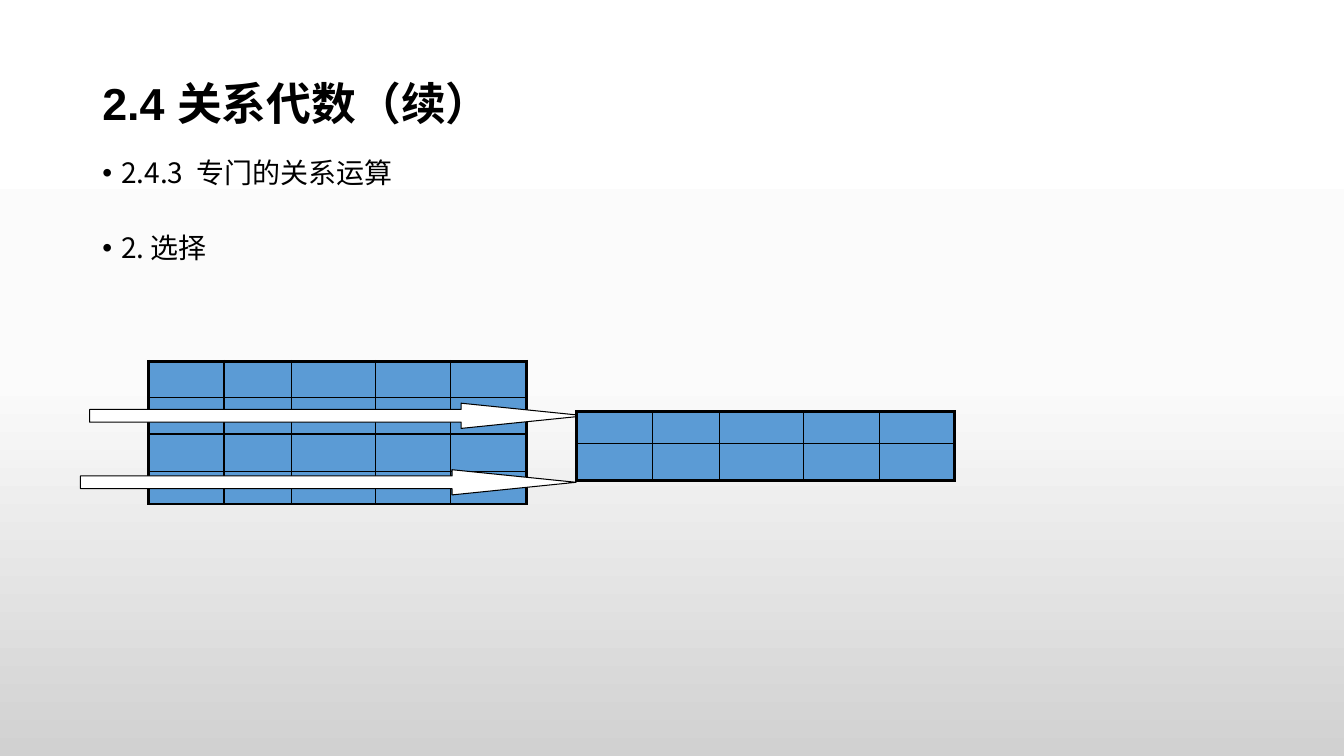
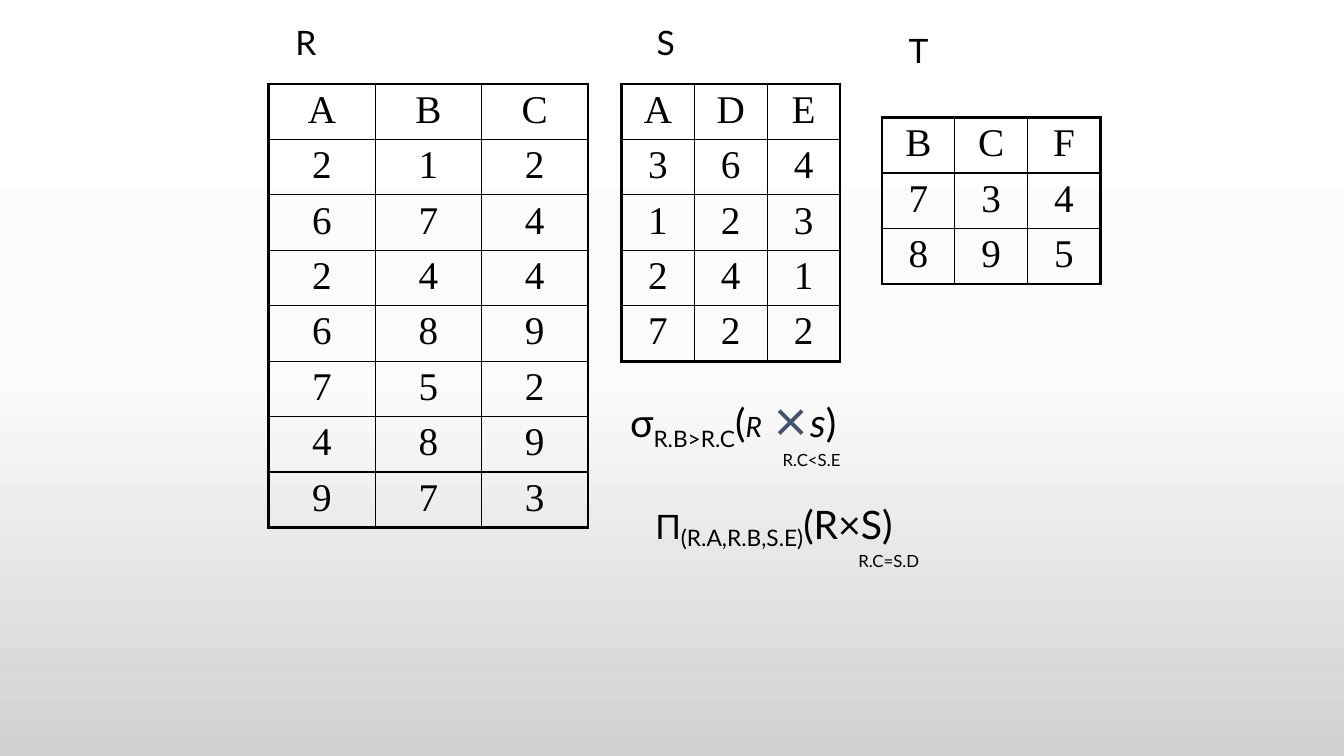
"""Two slides on relational algebra: the selection operation and sample relations."""
from copy import deepcopy

from lxml import etree
from pptx import Presentation
from pptx.dml.color import RGBColor
from pptx.enum.shapes import MSO_SHAPE
from pptx.enum.text import MSO_ANCHOR, PP_ALIGN
from pptx.oxml.ns import qn
from pptx.util import Pt

ARROW = MSO_SHAPE.RIGHT_ARROW
TOP, MIDDLE = MSO_ANCHOR.TOP, MSO_ANCHOR.MIDDLE
CENTER = PP_ALIGN.CENTER

BLACK = RGBColor(0x00, 0x00, 0x00)
WHITE = RGBColor(0xFF, 0xFF, 0xFF)
BLUE = RGBColor(0x5B, 0x9B, 0xD5)
SLATE = RGBColor(0x44, 0x54, 0x6A)
BACKGROUND = [(0, WHITE), (0.5, RGBColor(0xFB, 0xFB, 0xFB)), (1, RGBColor(0xD1, 0xD1, 0xD1))]

CJK = "Noto Sans CJK SC"
TITLE = {"name": "Arial", "size": Pt(32), "bold": True}
BODY = {"name": CJK, "size": Pt(20)}
CELL = {"name": "Times New Roman", "size": Pt(28)}
LABEL = {"name": "Lato", "size": Pt(24)}
FORMULA = {"name": "Lato", "size": Pt(28)}
CONDITION = {"name": "Lato", "size": Pt(12)}
ITALIC = {**FORMULA, "italic": True}
JOIN = {"name": CJK, "size": Pt(28), "bold": True, "rgb": SLATE}

HEADING = "2.4 关系代数（续）"
TOPICS = ["2.4.3  专门的关系运算", "2. 选择"]
TOPIC_GAP = 32
BULLET_INDENT = 13.5

GRID_COLUMNS = [54, 48, 60, 54, 54]
SOURCE_GRID = (106, 258, [26, 26, 27, 23])
RESULT_GRID = (412, 294, [23, 26])
SELECTION_ARROWS = [(64, 288), (57.5, 335.5)]
ARROW_SIZE = (354, 18)

ROW_HEIGHT = 38.2
RELATIONS = [
    (192, 60, 76, ["ABC", "212", "674", "244", "689", "752", "489", "973"]),
    (444, 60, 52, ["ADE", "364", "123", "241", "722"]),
    (630, 84, 52, ["BCF", "734", "895"]),
]
CAPTIONS = [
    ((204, 12, 42, 36), [("R", LABEL, 0)]),
    ((462, 12, 42, 36), [("S", LABEL, 0)]),
    ((642, 18, 42, 36), [("T", LABEL, 0)]),
    ((443, 281, 178, 41), [
        ("σ", FORMULA, 0), ("R.B>R.C", FORMULA, -25), ("(", FORMULA, 0),
        ("R", {**ITALIC, "size": Pt(20)}, 0), (" ", ITALIC, 0),
        ("×", JOIN, 0), ("s", ITALIC, 0), (")", FORMULA, 0)]),
    ((552, 318, 60, 22), [("R.C<S.E", CONDITION, 0)]),
    ((461, 354, 226, 41), [
        ("Π", LABEL, 0), ("(R.A,R.B,S.E)", FORMULA, -18), ("(R×S)", FORMULA, 0)]),
    ((606, 390, 72, 22), [("R.C=S.D", CONDITION, 0)]),
]


def points(values):
    return [Pt(value) for value in values]


def add_run(paragraph, text, style, baseline=0):
    run = paragraph.add_run()
    run.text = text
    run.font.color.rgb = style.get("rgb", BLACK)
    for key, value in style.items():
        if key != "rgb":
            setattr(run.font, key, value)
    properties = run.font._element if hasattr(run.font, "_element") else run._r.get_or_add_rPr()
    if baseline:
        properties.set("baseline", str(baseline * 1000))
    east_asian = etree.Element(qn("a:ea"), typeface=CJK)
    properties.find(qn("a:latin")).addnext(east_asian)


def add_text(slide, box, anchor=TOP):
    frame = slide.shapes.add_textbox(*points(box)).text_frame
    frame.word_wrap = True
    frame.vertical_anchor = anchor
    return frame


def add_bullet(paragraph):
    properties = paragraph._p.get_or_add_pPr()
    properties.set("marL", str(Pt(BULLET_INDENT)))
    properties.set("indent", str(-Pt(BULLET_INDENT)))
    etree.SubElement(properties, qn("a:buFont"), typeface="Arial")
    etree.SubElement(properties, qn("a:buChar"), char="•")


def add_borders(cell, outer_edges):
    properties = cell._tc.get_or_add_tcPr()
    for edge in "LRTB":
        width = Pt(2.25 if edge in outer_edges else 1)
        line = etree.SubElement(properties, qn(f"a:ln{edge}"), w=str(width))
        fill = etree.SubElement(line, qn("a:solidFill"))
        etree.SubElement(fill, qn("a:srgbClr"), val=str(BLACK))


def add_grid(slide, left, top, widths, heights, rows=None, color=None, margin=0):
    frame = slide.shapes.add_table(
        len(heights), len(widths), *points((left, top, sum(widths), sum(heights))))
    table = frame.table
    table.first_row = table.horz_banding = False
    for column, width in zip(table.columns, widths):
        column.width = Pt(width)
    for r, height in enumerate(heights):
        table.rows[r].height = Pt(height)
        for c in range(len(widths)):
            cell = table.cell(r, c)
            sides = {"L": c == 0, "R": c == len(widths) - 1,
                     "T": r == 0, "B": r == len(heights) - 1}
            add_borders(cell, [edge for edge, outer in sides.items() if outer])
            cell.margin_top = cell.margin_bottom = Pt(margin)
            if color:
                cell.fill.solid()
                cell.fill.fore_color.rgb = color
            else:
                cell.fill.background()
            if rows:
                paragraph = cell.text_frame.paragraphs[0]
                paragraph.alignment = CENTER
                add_run(paragraph, rows[r][c], CELL)


def add_arrow(slide, left, top):
    arrow = slide.shapes.add_shape(ARROW, *points((left, top, *ARROW_SIZE)))
    arrow.shadow.inherit = False
    arrow.adjustments[0] = 0.5
    arrow.adjustments[1] = 4.92
    arrow.fill.solid()
    arrow.fill.fore_color.rgb = WHITE
    arrow.line.color.rgb = BLACK
    arrow.line.width = Pt(0.75)


def set_background(master):
    fill = master.background.fill
    fill.gradient()
    fill.gradient_angle = 270
    stops = master.element.find(".//" + qn("p:bg")).find(".//" + qn("a:gsLst"))
    stops.append(deepcopy(stops[0]))
    for stop, (position, color) in zip(fill.gradient_stops, BACKGROUND):
        stop.position = position
        stop.color.rgb = color


def build_selection(slide):
    heading = add_text(slide, (66, 43, 612, 66), MIDDLE).paragraphs[0]
    heading.line_spacing = 0.9
    add_run(heading, HEADING, TITLE)
    body = add_text(slide, (66, 110.5, 612, 372))
    for index, topic in enumerate(TOPICS):
        paragraph = body.add_paragraph() if index else body.paragraphs[0]
        paragraph.line_spacing = 0.9
        if index:
            paragraph.space_before = Pt(TOPIC_GAP)
        add_bullet(paragraph)
        add_run(paragraph, topic, BODY)
    left, top, heights = SOURCE_GRID
    add_grid(slide, left, top, GRID_COLUMNS, heights, color=BLUE)
    for position in SELECTION_ARROWS:
        add_arrow(slide, *position)
    left, top, heights = RESULT_GRID
    add_grid(slide, left, top, GRID_COLUMNS, heights, color=BLUE)


def build_relations(slide):
    for left, top, width, rows in RELATIONS:
        add_grid(slide, left, top, [width] * len(rows[0]), [ROW_HEIGHT] * len(rows),
                 rows=rows, margin=3)
    for box, runs in CAPTIONS:
        paragraph = add_text(slide, box).paragraphs[0]
        for text, style, baseline in runs:
            add_run(paragraph, text, style, baseline)


def main():
    deck = Presentation()
    deck.slide_width, deck.slide_height = Pt(960), Pt(540)
    set_background(deck.slide_master)
    blank = deck.slide_layouts[6]
    for build in (build_selection, build_relations):
        build(deck.slides.add_slide(blank))
    deck.save("out.pptx")


if __name__ == "__main__":
    main()
